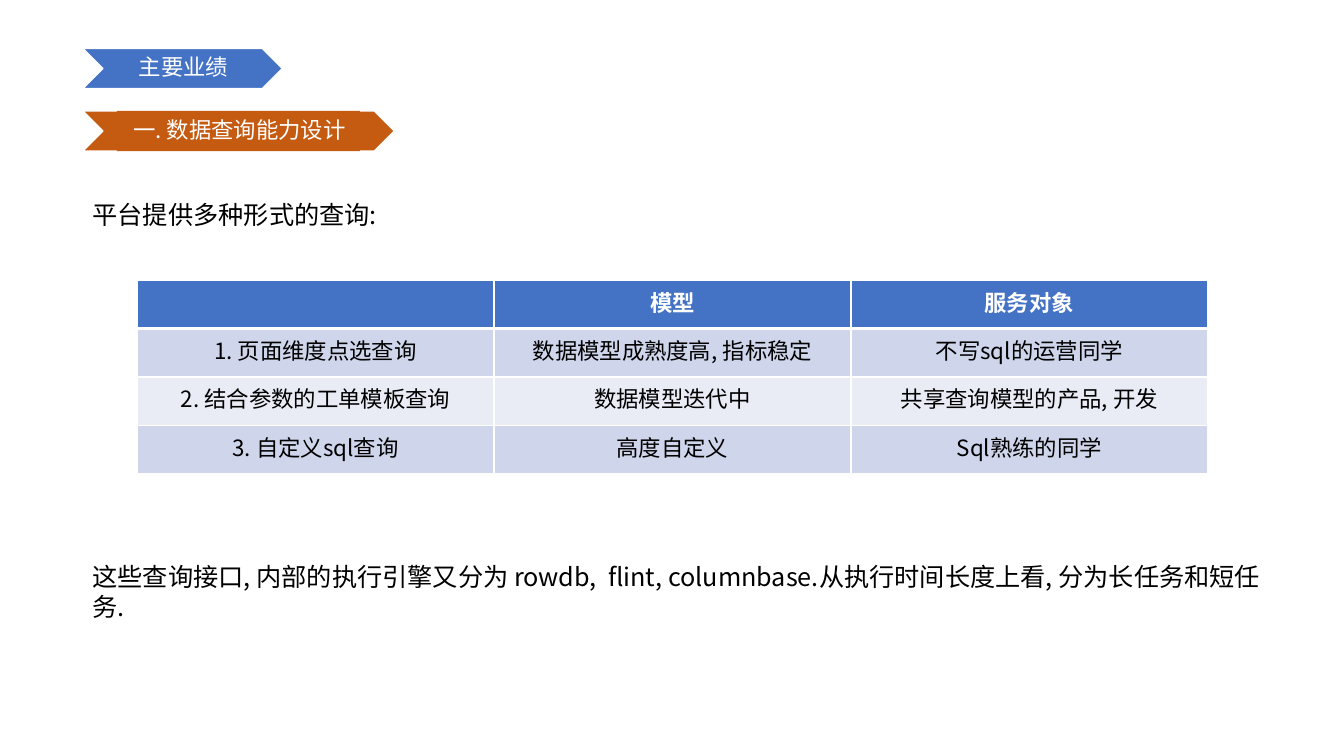
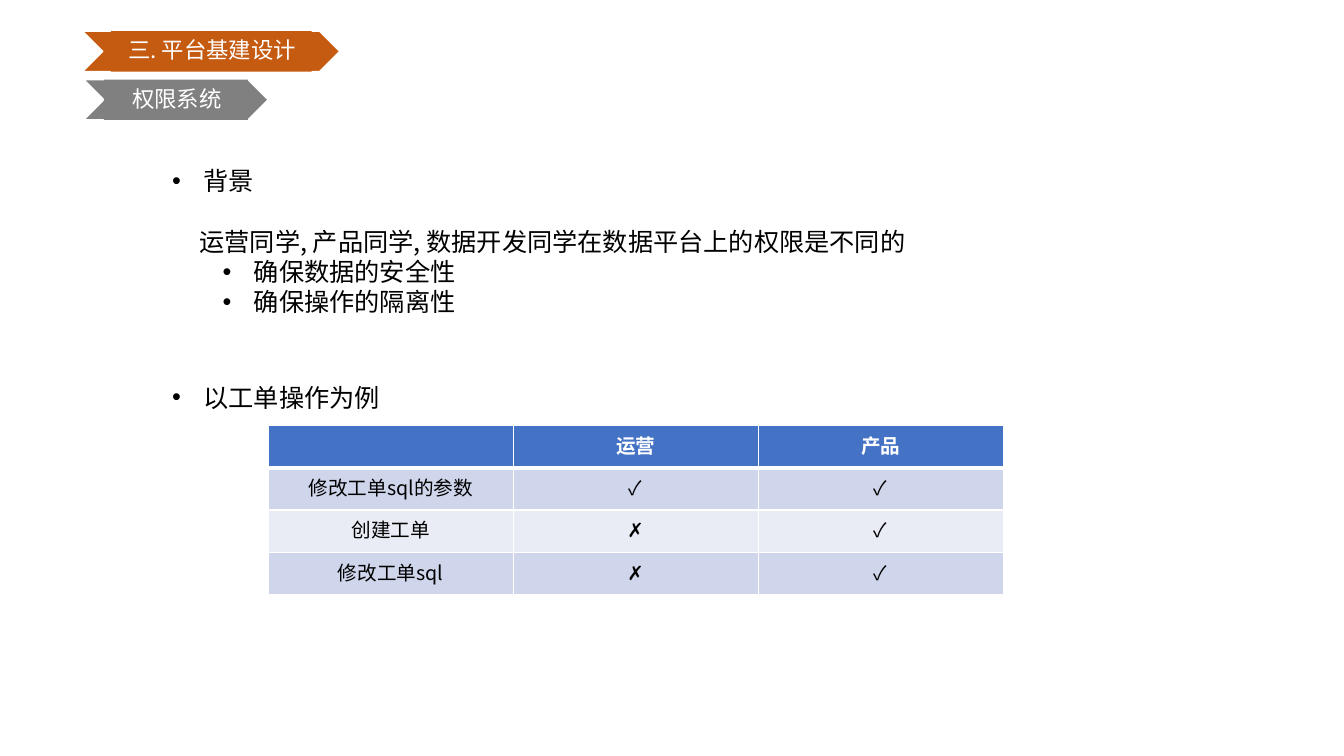
import pptx
import pptx.dml.color
import pptx.enum.shapes
import pptx.enum.text
import pptx.oxml
import pptx.oxml.ns
import pptx.util
from pptx.util import Inches

FONT = "Noto Sans CJK SC"
BLUE, ORANGE, GRAY = "4472C4", "C55A11", "808080"
WHITE, BLACK = "FFFFFF", "000000"
ROW_FILLS = ["E9EBF5", "CFD5EA"]
BANNER_HEIGHT = 0.4
ALIGN = pptx.enum.text.PP_ALIGN
ANCHOR = pptx.enum.text.MSO_ANCHOR
NAMESPACE = pptx.oxml.ns.nsdecls("a")


def color(value):
    return pptx.dml.color.RGBColor.from_string(value)


def format_text(paragraph, size, text_color, bold=False):
    for run in paragraph.runs:
        run.font.name = FONT
        run.font.size = pptx.util.Pt(size)
        run.font.bold = bold
        run.font.color.rgb = color(text_color)
        east_asian = pptx.oxml.parse_xml(f'<a:ea {NAMESPACE} typeface="{FONT}"/>')
        run.font._element.find(pptx.oxml.ns.qn("a:latin")).addnext(east_asian)


# Content: banners are (left, top, width, label inset, fill, label filled, text),
# the first one being the slide title
# Text boxes are (left, top, width, height, paragraphs), and paragraphs are
# (text, left margin, has bullet, space before in points)
slides = [
    {
        "banners": [
            (0.82, 0.48, 1.98, 0.22, BLUE, False, "主要业绩"),
            (0.82, 1.1, 3.09, 0.34, ORANGE, True, "一. 数据查询能力设计"),
        ],
        "texts": [
            (0.82, 1.93, 11.84, 0.4, [("平台提供多种形式的查询:", 0, False, 0)]),
            (0.82, 5.52, 11.84, 0.7, [
                ("这些查询接口, 内部的执行引擎又分为 rowdb,  flint, columnbase."
                 "从执行时间长度上看, 分为长任务和短任务.", 0, False, 0),
            ]),
        ],
        "table": (1.36, 2.78, 3.54, 0.48, 16, [
            ["", "模型", "服务对象"],
            ["1. 页面维度点选查询", "数据模型成熟度高, 指标稳定", "不写sql的运营同学"],
            ["2. 结合参数的工单模板查询", "数据模型迭代中", "共享查询模型的产品, 开发"],
            ["3. 自定义sql查询", "高度自定义", "Sql熟练的同学"],
        ]),
    },
    {
        "banners": [
            (0.82, 0.31, 2.55, 0.28, ORANGE, True, "三. 平台基建设计"),
            (0.83, 0.79, 1.83, 0.2, GRAY, True, "权限系统"),
        ],
        "texts": [
            (1.61, 1.59, 11.08, 1.62, [
                ("背景", 0.31, True, 0),
                ("运营同学, 产品同学, 数据开发同学在数据平台上的权限是不同的", 0.27, False, 22),
                ("确保数据的安全性", 0.81, True, 0),
                ("确保操作的隔离性", 0.81, True, 0),
            ]),
            (1.61, 3.74, 2.28, 0.4, [("以工单操作为例", 0.31, True, 0)]),
        ],
        "table": (2.66, 4.22, 2.43, 0.42, 14, [
            ["", "运营", "产品"],
            ["修改工单sql的参数", "✓", "✓"],
            ["创建工单", "✗", "✓"],
            ["修改工单sql", "✗", "✓"],
        ]),
    },
]

presentation = pptx.Presentation()
presentation.slide_width = Inches(13.33)
presentation.slide_height = Inches(7.5)

for content in slides:
    slide = presentation.slides.add_slide(presentation.slide_layouts[5])

    # Chevron banners with their labels
    for index, (left, top, width, inset, fill, filled, text) in enumerate(content["banners"]):
        chevron = slide.shapes.add_shape(
            pptx.enum.shapes.MSO_SHAPE.CHEVRON,
            Inches(left), Inches(top), Inches(width), Inches(BANNER_HEIGHT))
        chevron.shadow.inherit = False
        chevron.fill.solid()
        chevron.fill.fore_color.rgb = color(fill)
        chevron.line.color.rgb = color(WHITE)
        chevron.line.width = pptx.util.Pt(1)

        if index == 0:
            label = slide.shapes.title
            chevron._element.addnext(label._element)
        else:
            label = slide.shapes.add_textbox(0, 0, 0, 0)
        label.left, label.top = Inches(left + inset), Inches(top)
        label.width, label.height = Inches(width - 2 * inset), Inches(BANNER_HEIGHT)
        if filled:
            label.fill.solid()
            label.fill.fore_color.rgb = color(fill)
        frame = label.text_frame
        frame.text = text
        frame.word_wrap = True
        frame.auto_size = pptx.enum.text.MSO_AUTO_SIZE.NONE
        frame.vertical_anchor = ANCHOR.MIDDLE
        frame.margin_left, frame.margin_right = Inches(0.02), 0
        frame.margin_top = frame.margin_bottom = Inches(0.01)
        paragraph = frame.paragraphs[0]
        paragraph.alignment = ALIGN.CENTER
        paragraph.line_spacing = 0.9
        format_text(paragraph, 16, WHITE)

    # Body text
    for left, top, width, height, paragraphs in content["texts"]:
        text_box = slide.shapes.add_textbox(
            Inches(left), Inches(top), Inches(width), Inches(height))
        frame = text_box.text_frame
        frame.word_wrap = True
        for index, (text, margin, bullet, space) in enumerate(paragraphs):
            paragraph = frame.add_paragraph() if index else frame.paragraphs[0]
            paragraph.text = text
            paragraph.space_before = pptx.util.Pt(space)
            format_text(paragraph, 18, BLACK)
            properties = paragraph._p.get_or_add_pPr()
            properties.set("marL", str(Inches(margin)))
            if bullet:
                properties.set("indent", str(-Inches(0.31)))
                properties.append(pptx.oxml.parse_xml(
                    f'<a:buFont {NAMESPACE} typeface="Arial"/>'))
                properties.append(pptx.oxml.parse_xml(
                    f'<a:buChar {NAMESPACE} char="•"/>'))

    # Table with a blue header and alternating rows
    left, top, column_width, row_height, size, rows = content["table"]
    column_count = len(rows[0])
    table = slide.shapes.add_table(
        len(rows), column_count, Inches(left), Inches(top),
        Inches(column_width * column_count), Inches(row_height * len(rows))).table
    for row_index, row in enumerate(rows):
        is_header = row_index == 0
        table.rows[row_index].height = Inches(row_height)
        for column_index, text in enumerate(row):
            cell = table.cell(row_index, column_index)
            cell.text_frame.text = text
            paragraph = cell.text_frame.paragraphs[0]
            paragraph.alignment = ALIGN.CENTER
            format_text(paragraph, size, WHITE if is_header else BLACK, is_header)
            widths = {"L": 1, "R": 1, "T": 3 if row_index == 1 else 1, "B": 3 if is_header else 1}
            for side, width in widths.items():
                cell._tc.get_or_add_tcPr().append(pptx.oxml.parse_xml(
                    f'<a:ln{side} {NAMESPACE} w="{pptx.util.Pt(width)}"><a:solidFill>'
                    f'<a:srgbClr val="{WHITE}"/></a:solidFill></a:ln{side}>'))
            cell.fill.solid()
            cell.fill.fore_color.rgb = color(BLUE if is_header else ROW_FILLS[row_index % 2])
    for column in table.columns:
        column.width = Inches(column_width)

presentation.save("out.pptx")
